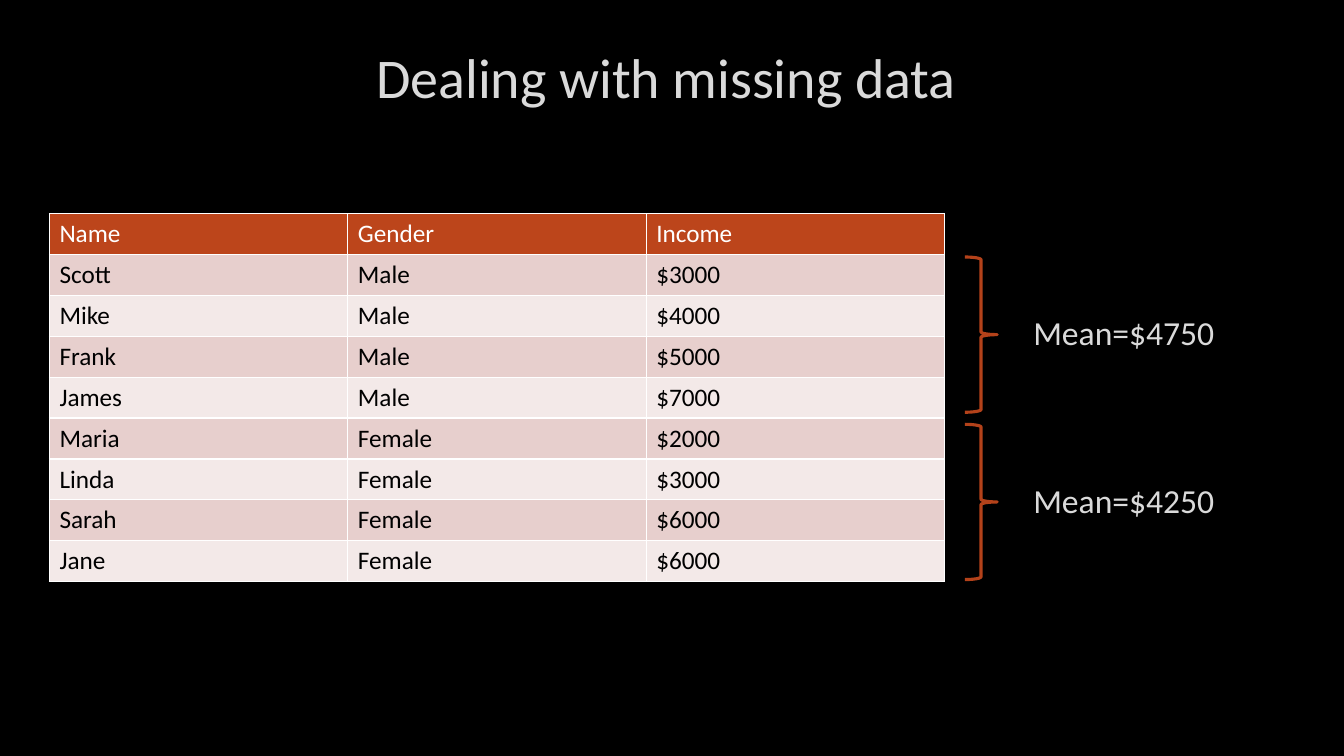
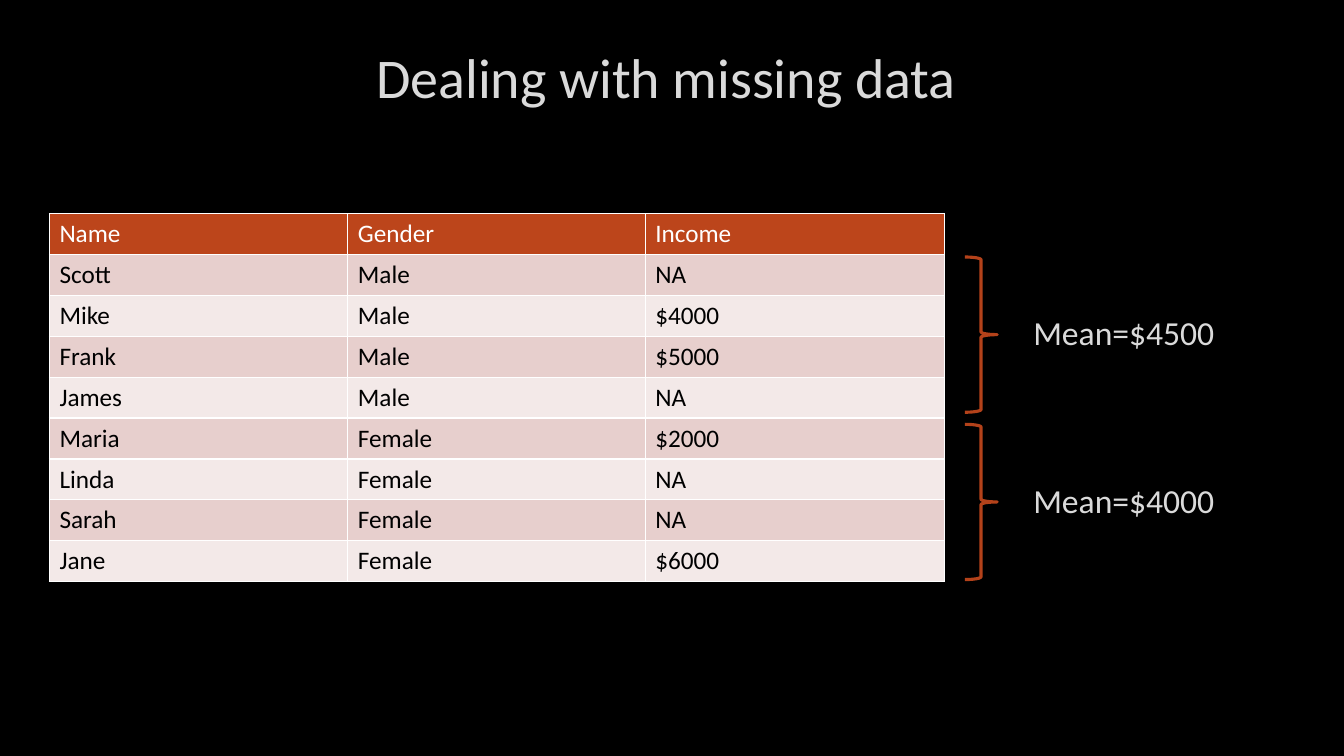
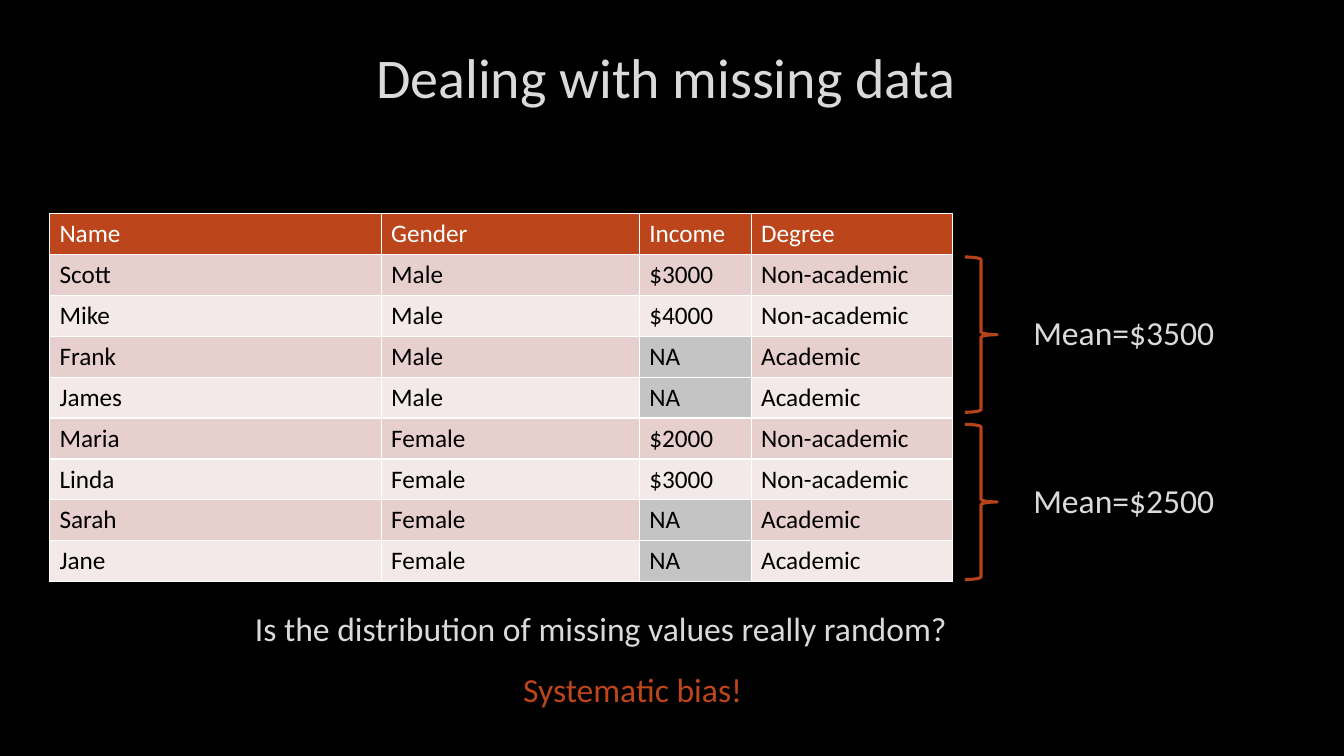
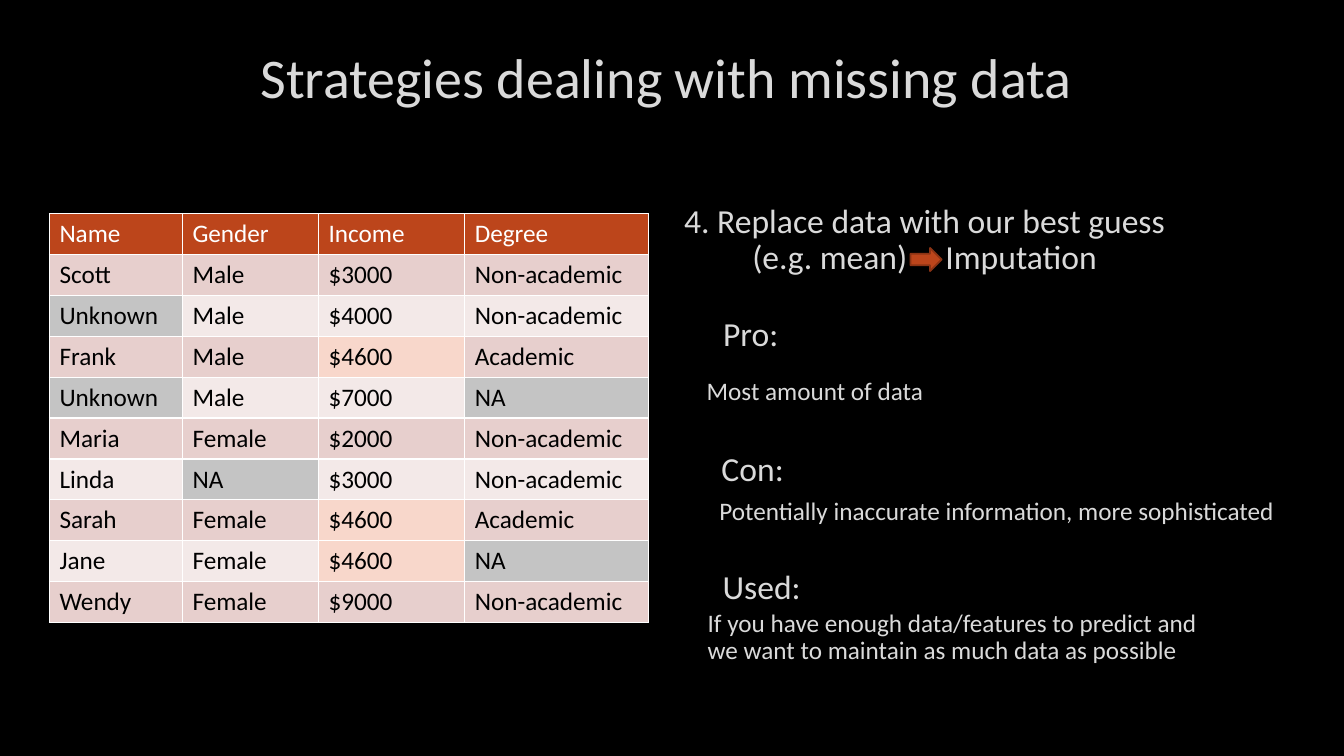
from pptx import Presentation
from pptx.dml.color import RGBColor
from pptx.enum.shapes import MSO_SHAPE
from pptx.enum.text import MSO_ANCHOR, PP_ALIGN
from pptx.util import Inches, Pt

BRACE, ARROW = MSO_SHAPE.RIGHT_BRACE, MSO_SHAPE.RIGHT_ARROW
TOP, MIDDLE = MSO_ANCHOR.TOP, MSO_ANCHOR.MIDDLE
LEFT, CENTER = PP_ALIGN.LEFT, PP_ALIGN.CENTER

FONT = "Calibri"
BLACK, WHITE, PALE = "000000", "FFFFFF", "DADADA"
RUST, BRACE_LINE, ARROW_LINE = "BC451B", "B4421A", "8B3314"
BANDS = ["F3E9E8", "E7CFCD"]
GREY, PEACH = "C4C4C4", "F8D7CB"

W, H = 13.33, 7.5
TABLE_X, TABLE_Y, ROW = 0.49, 2.12, 3.65 / 9
BRACE_Y, BRACE_STEP = 2.55, 1.66


def rgb(color):
    return RGBColor.from_string(color)


def write(sp, lines, size, color=PALE, align=LEFT, anchor=TOP, spacing=None):
    tf = sp.text_frame
    tf.word_wrap = True
    tf.vertical_anchor = anchor
    for i, line in enumerate(lines):
        p = tf.paragraphs[0] if i == 0 else tf.add_paragraph()
        p.alignment = align
        p.line_spacing = spacing
        for text in [line] if isinstance(line, str) else line:
            r = p.add_run()
            r.text = text
            r.font.name = FONT
            r.font.size = Pt(size)
            r.font.bold = False
            r.font.color.rgb = rgb(color)


names = ["Scott", "Mike", "Frank", "James", "Maria", "Linda", "Sarah", "Jane"]
genders = ["Male"] * 4 + ["Female"] * 4
degrees = (["Non-academic"] * 2 + ["Academic"] * 2) * 2
head = ["Name", "Gender", "Income"]

full = ["$3000", "$4000", "$5000", "$7000", "$2000", "$3000", "$6000", "$6000"]
random_gaps = ["NA", "$4000", "$5000", "NA", "$2000", "NA", "NA", "$6000"]
biased_gaps = ["$3000", "$4000", "NA", "NA", "$2000", "$3000", "NA", "NA"]
imputed = [
    ["Scott", "Male", "$3000", "Non-academic"],
    ["Unknown", "Male", "$4000", "Non-academic"],
    ["Frank", "Male", "$4600", "Academic"],
    ["Unknown", "Male", "$7000", "NA"],
    ["Maria", "Female", "$2000", "Non-academic"],
    ["Linda", "NA", "$3000", "Non-academic"],
    ["Sarah", "Female", "$4600", "Academic"],
    ["Jane", "Female", "$4600", "NA"],
    ["Wendy", "Female", "$9000", "Non-academic"],
]

DEALING = "Dealing with missing data "
slides = [
    (DEALING, [2.96, 2.96, 2.96], [head, *zip(names, genders, full)],
     {}, ["Mean=$4750", "Mean=$4250"]),
    (DEALING, [2.96, 2.95, 2.97], [head, *zip(names, genders, random_gaps)],
     {}, ["Mean=$4500", "Mean=$4000"]),
    (DEALING, [3.29, 2.56, 1.11, 2],
     [head + ["Degree"], *zip(names, genders, biased_gaps, degrees)],
     {"NA": GREY}, ["Mean=$3500", "Mean=$2500"]),
    ("Strategies dealing with missing data ", [1.32, 1.35, 1.45, 1.82],
     [head + ["Degree"], *imputed],
     {"NA": GREY, "Unknown": GREY, "$4600": PEACH}, []),
]

prs = Presentation()
prs.slide_width, prs.slide_height = Inches(W), Inches(H)
fill = prs.slide_master.background.fill
fill.solid()
fill.fore_color.rgb = rgb(BLACK)

for title, widths, rows, marks, means in slides:
    s = prs.slides.add_slide(prs.slide_layouts[5])
    sp = s.shapes.title
    sp.left, sp.top, sp.width, sp.height = map(Inches, (1.01, 0.23, W - 2.01, 1.06))
    write(sp, [title], 40, align=CENTER, anchor=MIDDLE)

    table = s.shapes.add_table(
        len(rows), len(widths), Inches(TABLE_X), Inches(TABLE_Y),
        Inches(sum(widths)), Inches(ROW * len(rows))).table
    for column, width in zip(table.columns, widths):
        column.width = Inches(width)
    for i, row in enumerate(rows):
        for j, text in enumerate(row):
            cell = table.cell(i, j)
            cell.fill.solid()
            band = BANDS[i % 2] if i else RUST
            cell.fill.fore_color.rgb = rgb(marks.get(text, band))
            write(cell, [text], 18, BLACK if i else WHITE)

    for i, mean in enumerate(means):
        y = BRACE_Y + i * BRACE_STEP
        sp = s.shapes.add_shape(BRACE, Inches(9.57), Inches(y), Inches(0.32), Inches(1.54))
        sp.shadow.inherit = False
        sp.fill.background()
        sp.line.color.rgb = rgb(BRACE_LINE)
        sp.line.width = Pt(2.25)
        sp = s.shapes.add_textbox(Inches(10.15), Inches(y + 0.5), Inches(2.53), Inches(0.5))
        write(sp, [mean], 24)

s = prs.slides[2]
for x, y, text, color in [
    (2.43, 5.98, "Is the distribution of missing values really random?", PALE),
    (5.09, 6.59, "Systematic bias!", RUST),
]:
    sp = s.shapes.add_textbox(Inches(x), Inches(y), Inches(8), Inches(0.5))
    write(sp, [text], 24, color)

s = prs.slides[3]
sp = s.shapes.add_textbox(Inches(5.56), Inches(1.96), Inches(7.22), Inches(0.85))
write(sp, ["4. Replace data with our best guess", ["(e.g. mean)", " ", "Imputation"]],
      24, align=CENTER, anchor=MIDDLE, spacing=0.9)
arrow_gap = sp.text_frame.paragraphs[1].runs[1]
arrow_gap.font._element.set("spc", "2170")

sp = s.shapes.add_shape(ARROW, Inches(9.03), Inches(2.46), Inches(0.31), Inches(0.23))
sp.shadow.inherit = False
sp.fill.solid()
sp.fill.fore_color.rgb = rgb(RUST)
sp.line.color.rgb = rgb(ARROW_LINE)
sp.line.width = Pt(1.25)

for x, y, size, align, spacing, lines in [
    (3.94, 2.97, 24, CENTER, None, ["Pro:"]),
    (3.96, 4.31, 24, CENTER, None, ["Con:"]),
    (4.05, 5.48, 24, CENTER, None, ["Used:"]),
    (6.91, 3.54, 18, LEFT, None, ["Most amount of data"]),
    (6.38, 4.73, 18, CENTER, None,
     ["Potentially inaccurate information, more sophisticated"]),
    (6.92, 5.99, 18, LEFT, 0.9,
     ["If you have enough data/features to predict and",
      "we want to maintain as much data as possible"]),
]:
    sp = s.shapes.add_textbox(Inches(x), Inches(y), Inches(7.01), Inches(0.67))
    write(sp, lines, size, align=align, anchor=MIDDLE, spacing=spacing)

prs.save("out.pptx")
